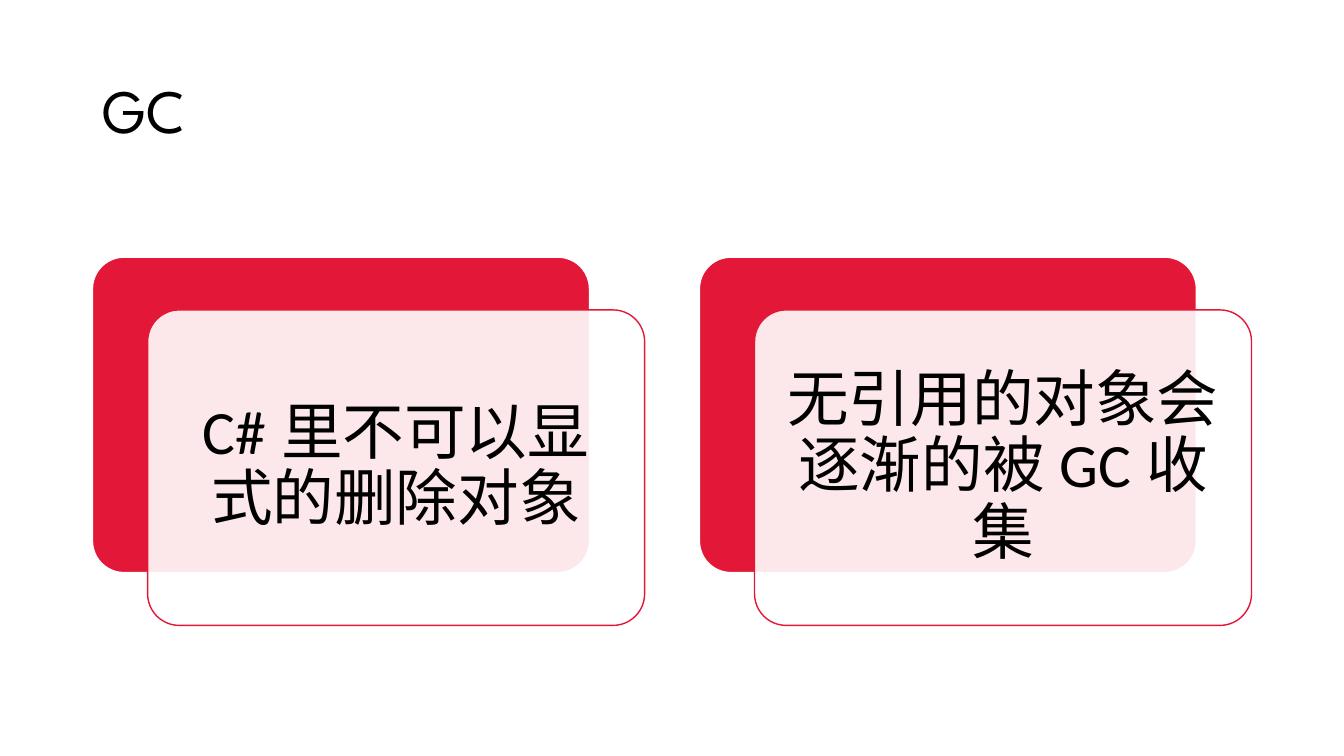
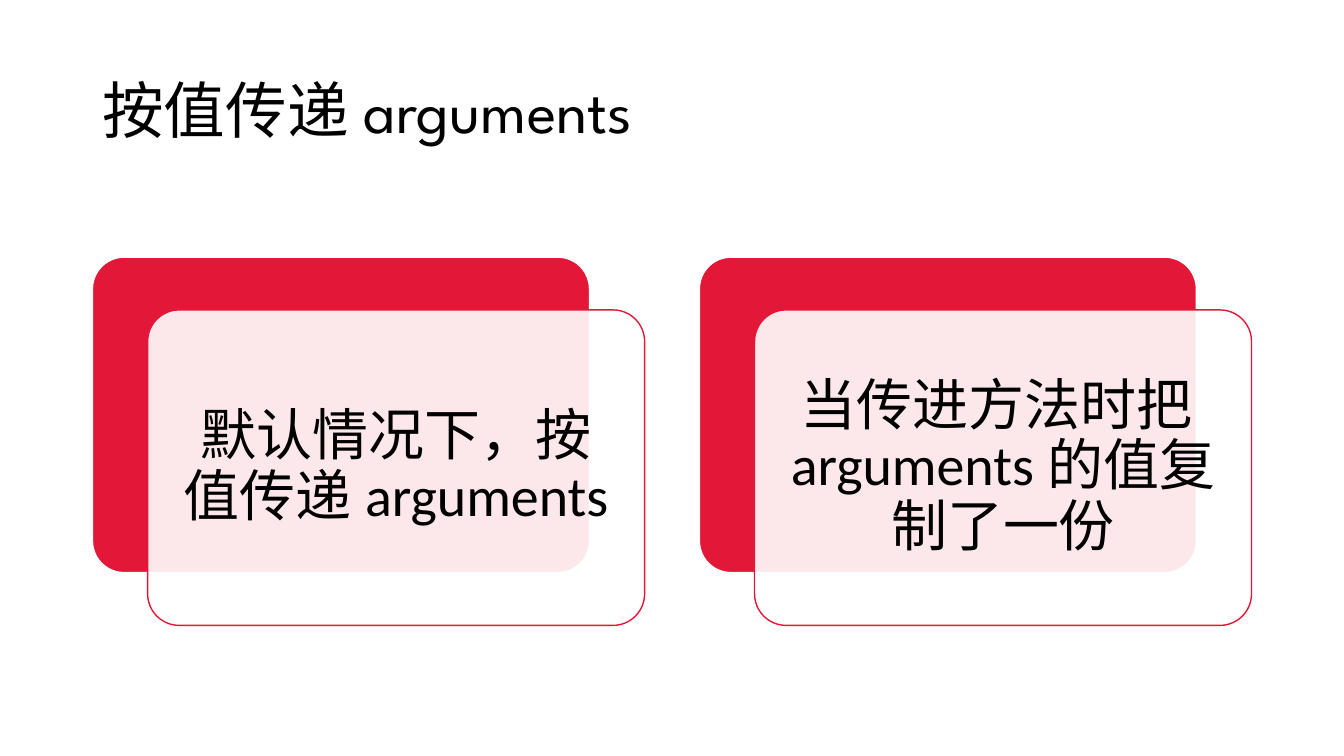
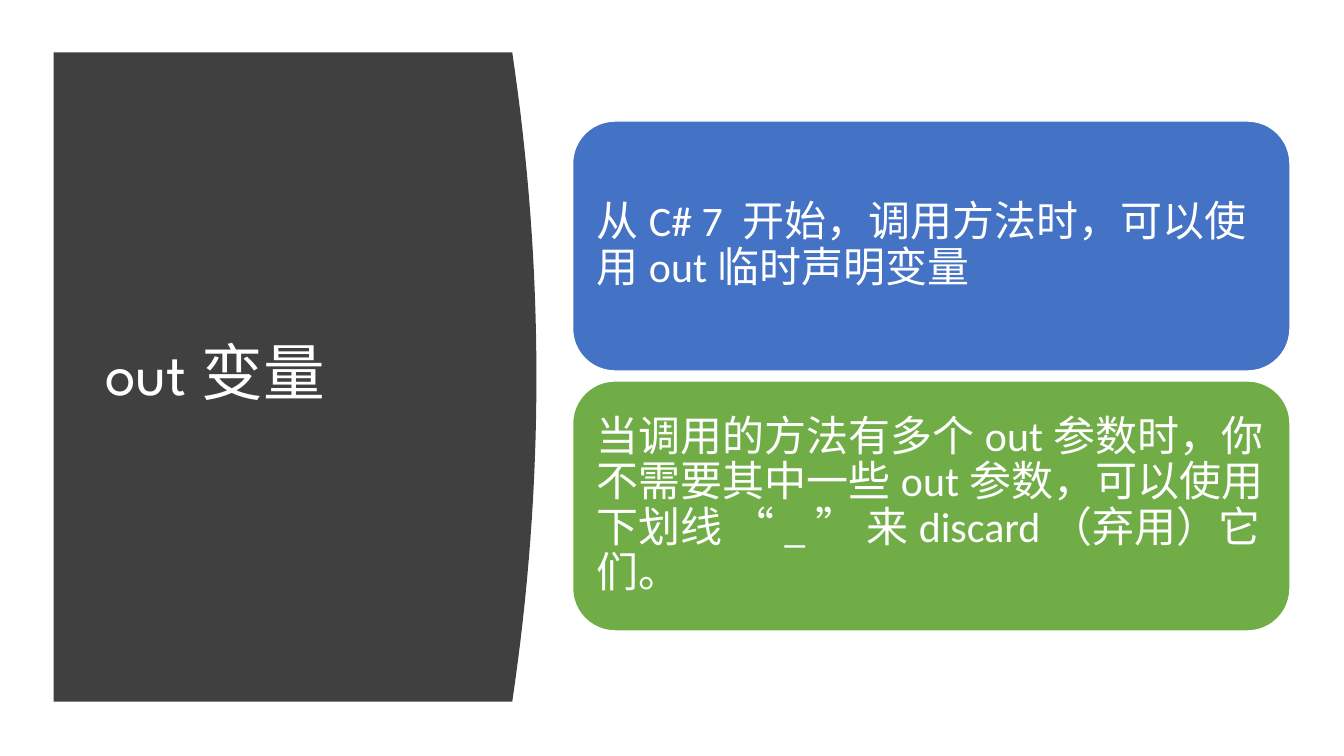
from dataclasses import dataclass

from lxml.etree import SubElement
from pptx import Presentation
from pptx.dml.color import RGBColor
from pptx.enum.lang import MSO_LANGUAGE_ID
from pptx.enum.shapes import MSO_SHAPE
from pptx.enum.text import MSO_ANCHOR, PP_ALIGN
from pptx.oxml.ns import qn
from pptx.util import Cm, Pt


@dataclass(frozen=True)
class Theme:
    red: str = "E31737"
    blue: str = "4472C4"
    green: str = "70AD47"
    dark: str = "404040"
    white: str = "FFFFFF"
    black: str = "000000"
    head: str = "League Spartan"
    body: str = "Calibri"
    title: int = 44
    large: int = 44
    medium: int = 40
    small: int = 30


THEME = Theme()


@dataclass(frozen=True)
class Box:
    x: float
    y: float
    w: float
    h: float

    def emu(self):
        return [Cm(v) for v in (self.x, self.y, self.w, self.h)]


def write(shape, text, size, font, color, align=PP_ALIGN.LEFT, inset=None):
    frame = shape.text_frame
    frame.word_wrap = True
    frame.vertical_anchor = MSO_ANCHOR.MIDDLE
    if inset is not None:
        frame.margin_left = frame.margin_right = Cm(inset)
        frame.margin_top = frame.margin_bottom = Cm(inset)
    para = frame.paragraphs[0]
    para.text = text
    para.alignment = align
    para.line_spacing = 0.9
    para.font.size = Pt(size)
    para.font.name = font
    para.font.color.rgb = RGBColor.from_string(color)
    para.font.language_id = MSO_LANGUAGE_ID.SIMPLIFIED_CHINESE


def add_title(slide, box, text, color=THEME.black):
    shape = slide.shapes.add_textbox(*box.emu())
    write(shape, text, THEME.title, THEME.head, color)


def add_round(slide, box, fill, line, corner, alpha=None):
    shape = slide.shapes.add_shape(MSO_SHAPE.ROUNDED_RECTANGLE, *box.emu())
    shape.adjustments[0] = corner
    shape.shadow.inherit = False
    shape.fill.solid()
    shape.fill.fore_color.rgb = RGBColor.from_string(fill)
    shape.line.color.rgb = RGBColor.from_string(line)
    shape.line.width = Pt(1)
    if alpha is not None:
        tone = shape.fill._xPr.find(qn("a:solidFill"))[0]
        SubElement(tone, qn("a:alpha")).set("val", str(alpha * 1000))
    return shape


def add_card(slide, box, text, size, inset):
    dx, dy = 1.39, 1.33
    w, h = box.w - dx, box.h - dy
    add_round(slide, Box(box.x, box.y, w, h), THEME.red, THEME.white, 0.1)
    front = Box(box.x + dx, box.y + dy, w, h)
    shape = add_round(slide, front, THEME.white, THEME.red, 0.1, 90)
    write(shape, text, size, THEME.body, THEME.black, PP_ALIGN.CENTER, inset)


def add_cards(slide, box, texts, size, inset):
    gap = 1.38
    w = (box.w - gap * (len(texts) - 1)) / len(texts)
    for i, text in enumerate(texts):
        add_card(slide, Box(box.x + i * (w + gap), box.y, w, box.h), text, size, inset)


def add_panel(slide, box, bulge=0.61, steps=32):
    edge = box.x + box.w - bulge
    points = []
    for i in range(steps + 1):
        t = i / steps
        x = edge + bulge * 4 * t * (1 - t)
        points.append((Cm(x), Cm(box.y + box.h * t)))
    points.append((Cm(box.x), Cm(box.y + box.h)))
    pen = slide.shapes.build_freeform(Cm(box.x), Cm(box.y))
    pen.add_line_segments(points, close=True)
    shape = pen.convert_to_shape()
    shape.shadow.inherit = False
    shape.fill.solid()
    shape.fill.fore_color.rgb = RGBColor.from_string(THEME.dark)
    shape.line.fill.background()


def add_stack(slide, box, items):
    gap = 0.25
    h = (box.h - gap * (len(items) - 1)) / len(items)
    for i, (text, fill) in enumerate(items):
        part = Box(box.x, box.y + i * (h + gap), box.w, h)
        shape = add_round(slide, part, fill, THEME.white, 0.17)
        write(shape, text, THEME.small, THEME.body, THEME.white, inset=0.3)


def card_slide(slide, title, texts, size, inset):
    add_title(slide, Box(2.33, 1.01, 29.21, 3.68), title)
    add_cards(slide, Box(2.33, 6.48, 29.21, 9.28), texts, size, inset)


def panel_slide(slide, title, items):
    add_panel(slide, Box(1.35, 1.32, 12.17, 16.36))
    add_title(slide, Box(2.4, 2.82, 9.5, 13.31), title, THEME.white)
    add_stack(slide, Box(14.43, 3.05, 18.08, 12.85), items)


def main():
    deck = Presentation()
    deck.slide_width, deck.slide_height = Cm(33.87), Cm(19.05)
    blank = deck.slide_layouts[6]

    def new():
        return deck.slides.add_slide(blank)

    card_slide(
        new(), "GC",
        ["C#里不可以显式的删除对象", "无引用的对象会逐渐的被GC收集"],
        THEME.large, 0.46,
    )
    card_slide(
        new(), "按值传递arguments",
        ["默认情况下，按值传递arguments", "当传进方法时把arguments的值复制了一份"],
        THEME.medium, 0.43,
    )
    panel_slide(
        new(), "out变量",
        [
            ("从C# 7 开始，调用方法时，可以使用out临时声明变量", THEME.blue),
            ("当调用的方法有多个out参数时，你不需要其中一些out参数，"
             "可以使用下划线 “_” 来discard（弃用）它们。", THEME.green),
        ],
    )
    deck.save("out.pptx")


if __name__ == "__main__":
    main()
